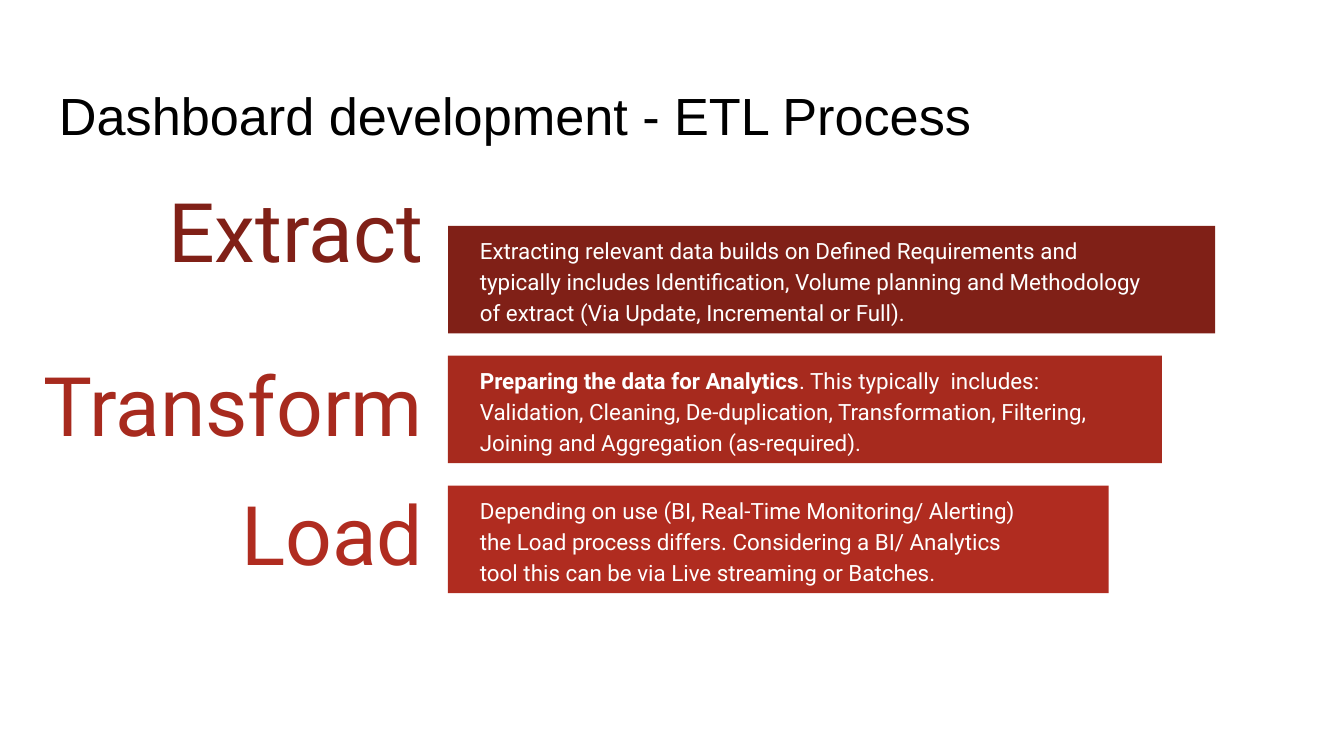
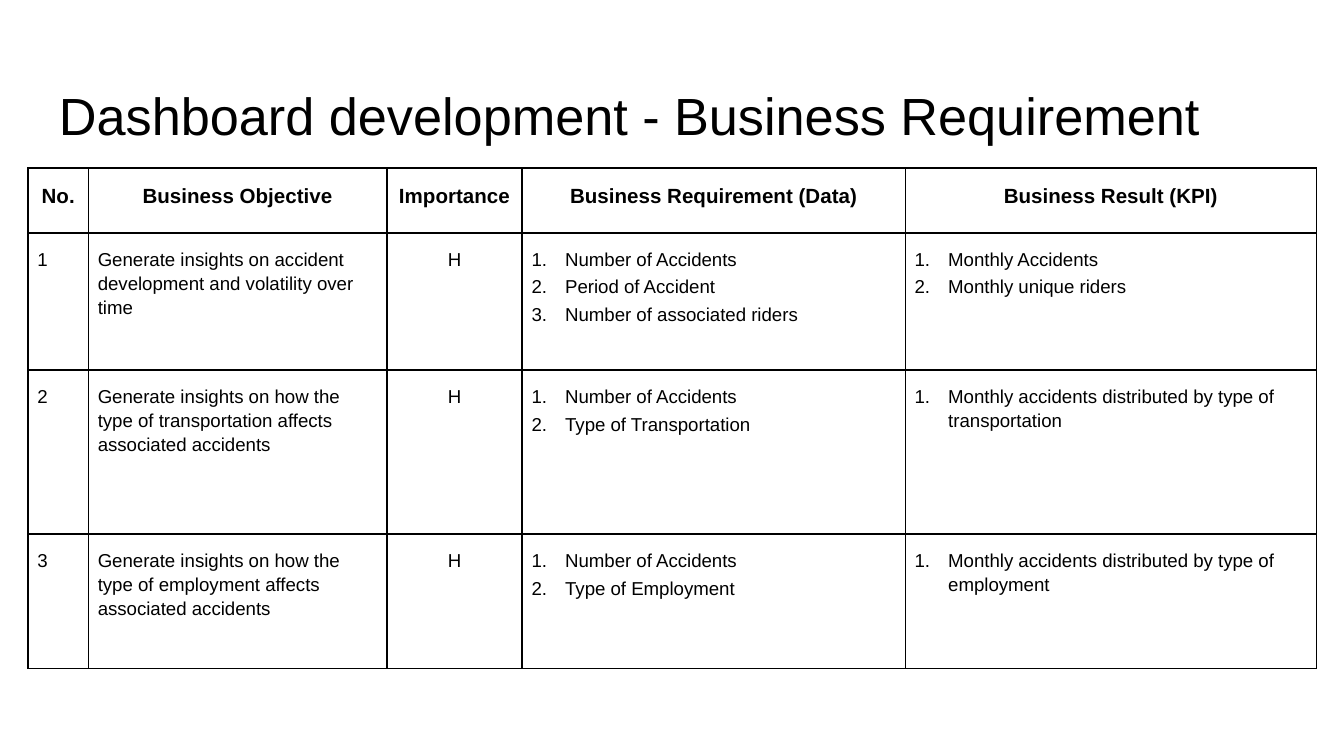
"""Build two dashboard development slides: the ETL process and the business requirements."""
from lxml import etree
from pptx import Presentation
from pptx.dml.color import RGBColor
from pptx.enum.shapes import MSO_SHAPE
from pptx.enum.text import MSO_ANCHOR, PP_ALIGN
from pptx.oxml.ns import qn
from pptx.util import Pt

RECT = MSO_SHAPE.RECTANGLE
TOP, MIDDLE = MSO_ANCHOR.TOP, MSO_ANCHOR.MIDDLE
LEFT, CENTER, RIGHT = PP_ALIGN.LEFT, PP_ALIGN.CENTER, PP_ALIGN.RIGHT
COLORS = {"black": "000000", "white": "FFFFFF",
          "extract": "802017", "transform": "A72A1E", "load": "B02C20"}
TITLES = ["Dashboard development - ETL Process",
          "Dashboard development - Business Requirement"]


def style(p, font, size, color, align=LEFT, spacing=1.0, bold=False):
    """Format a paragraph and its runs."""
    p.alignment = align
    p.line_spacing = spacing
    for r in p.runs:
        r.font.name = font
        r.font.size = Pt(size)
        r.font.bold = bold
        r.font.color.rgb = RGBColor.from_string(COLORS[color])


def add_text(s, box, text, anchor, inset):
    """Add a wrapping text box and return its first paragraph."""
    tf = s.shapes.add_textbox(*[Pt(v) for v in box]).text_frame
    tf.word_wrap = True
    tf.vertical_anchor = anchor
    tf.margin_left = tf.margin_right = Pt(7.2)
    tf.margin_top = tf.margin_bottom = Pt(inset)
    tf.text = text
    return tf.paragraphs[0]


prs = Presentation()
prs.slide_width, prs.slide_height = Pt(720), Pt(405)
slides = []
for title in TITLES:
    s = prs.slides.add_slide(prs.slide_layouts[6])
    p = add_text(s, (24.5, 37.5, 671, 45), title, TOP, 7.2)
    style(p, "Arial", 28, "black")
    slides.append(s)
etl, requirements = slides

BAR_LEFT, BAR_TOP, BAR_HEIGHT, BAR_STEP = 240, 121, 57.6, 69.6
LABEL_RIGHT, LABEL_HEIGHT = 234, 50
STEPS = [
    ("Extract", "extract", 158, -19.5, 411, 375, "",
     "Extracting relevant data builds on Defined Requirements and typically includes "
     "Identification, Volume planning and Methodology of extract (Via Update, "
     "Incremental or Full)."),
    ("Transform", "transform", 230, 3.8, 382.5, 344, "Preparing the data for Analytics",
     ". This typically  includes: Validation, Cleaning, De-duplication, Transformation, "
     "Filtering, Joining and Aggregation (as-required)."),
    ("Load", "load", 154, 3.8, 354, 303, "",
     "Depending on use (BI, Real-Time Monitoring/ Alerting) the Load process differs. "
     "Considering a BI/ Analytics tool this can be via Live streaming or Batches."),
]
for i, (name, color, label_w, label_dy, bar_w, text_w, lead, text) in enumerate(STEPS):
    top = BAR_TOP + i * BAR_STEP
    label_box = (LABEL_RIGHT - label_w, top + label_dy, label_w, LABEL_HEIGHT)
    p = add_text(etl, label_box, name, MIDDLE, 3.6)
    style(p, "Roboto", 44, color, RIGHT, 0.9)

    bar = etl.shapes.add_shape(RECT, Pt(BAR_LEFT), Pt(top), Pt(bar_w), Pt(BAR_HEIGHT))
    bar.shadow.inherit = False
    bar.fill.solid()
    bar.fill.fore_color.rgb = RGBColor.from_string(COLORS[color])
    bar.line.fill.background()

    p = add_text(etl, (BAR_LEFT + 10, top, text_w, BAR_HEIGHT), lead or text, MIDDLE, 3.6)
    if lead:
        p.add_run().text = text
    style(p, "Roboto", 12, "white", spacing=1.15)
    p.runs[0].font.bold = bool(lead)

COLUMN_WIDTHS = [32.4, 159.8, 72.6, 205.2, 220.3]
ROW_HEIGHTS = [34.7, 73.5, 88, 72]
ALIGNS = [LEFT, LEFT, CENTER, LEFT, LEFT]
FIRST_LIST_COLUMN = 3
ROWS = [
    ["No.", "Business Objective", "Importance", "Business Requirement (Data)",
     "Business Result (KPI)"],
    ["1", "Generate insights on accident development and volatility over time", "H",
     "Number of Accidents\nPeriod of Accident\nNumber of associated riders",
     "Monthly Accidents\nMonthly unique riders"],
    ["2", "Generate insights on how the type of transportation affects associated accidents",
     "H", "Number of Accidents\nType of Transportation",
     "Monthly accidents distributed by type of transportation"],
    ["3", "Generate insights on how the type of employment affects associated accidents",
     "H", "Number of Accidents\nType of Employment",
     "Monthly accidents distributed by type of employment"],
]
table = requirements.shapes.add_table(
    len(ROWS), len(COLUMN_WIDTHS), Pt(15), Pt(90),
    Pt(sum(COLUMN_WIDTHS)), Pt(sum(ROW_HEIGHTS))).table
table.first_row = table.horz_banding = False
for column, width in zip(table.columns, COLUMN_WIDTHS):
    column.width = Pt(width)
for row, height in zip(table.rows, ROW_HEIGHTS):
    row.height = Pt(height)

for i, texts in enumerate(ROWS):
    header = i == 0
    for j, text in enumerate(texts):
        cell = table.cell(i, j)
        cell.margin_left = cell.margin_right = Pt(5)
        cell.margin_top = cell.margin_bottom = Pt(7.2)
        tcPr = cell._tc.get_or_add_tcPr()
        for side in ("lnL", "lnR", "lnT", "lnB"):
            ln = etree.SubElement(tcPr, qn(f"a:{side}"), w=str(Pt(1)))
            fill = etree.SubElement(ln, qn("a:solidFill"))
            etree.SubElement(fill, qn("a:srgbClr"), val=COLORS["black"])
        cell.fill.background()
        cell.text_frame.text = text
        for p in cell.text_frame.paragraphs:
            style(p, "Arial", 11 if header else 10, "black",
                  CENTER if header else ALIGNS[j], 1.15, header)
            p.space_before = Pt(2)
            if not header and j >= FIRST_LIST_COLUMN:
                pPr = p._p.get_or_add_pPr()
                pPr.set("marL", str(Pt(18)))
                pPr.set("indent", str(Pt(-18)))
                etree.SubElement(pPr, qn("a:buAutoNum"), type="arabicPeriod")

prs.save("out.pptx")
